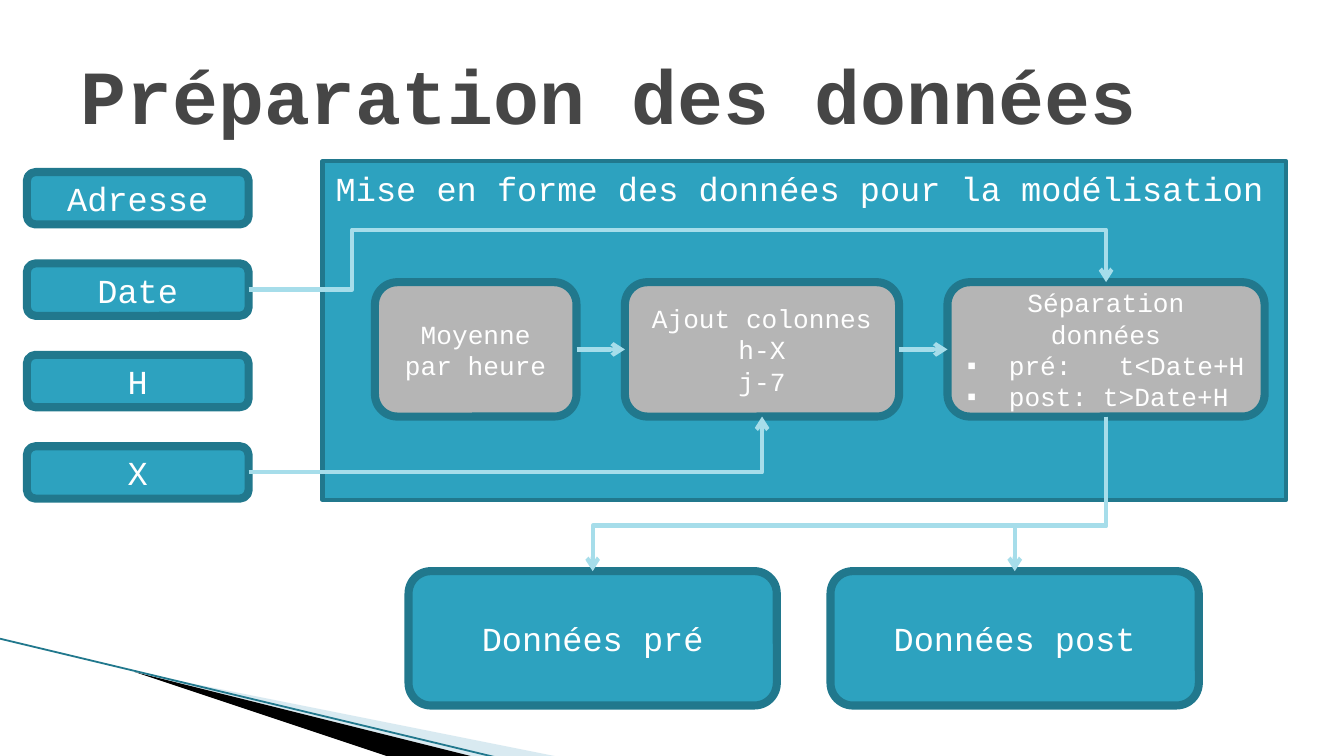
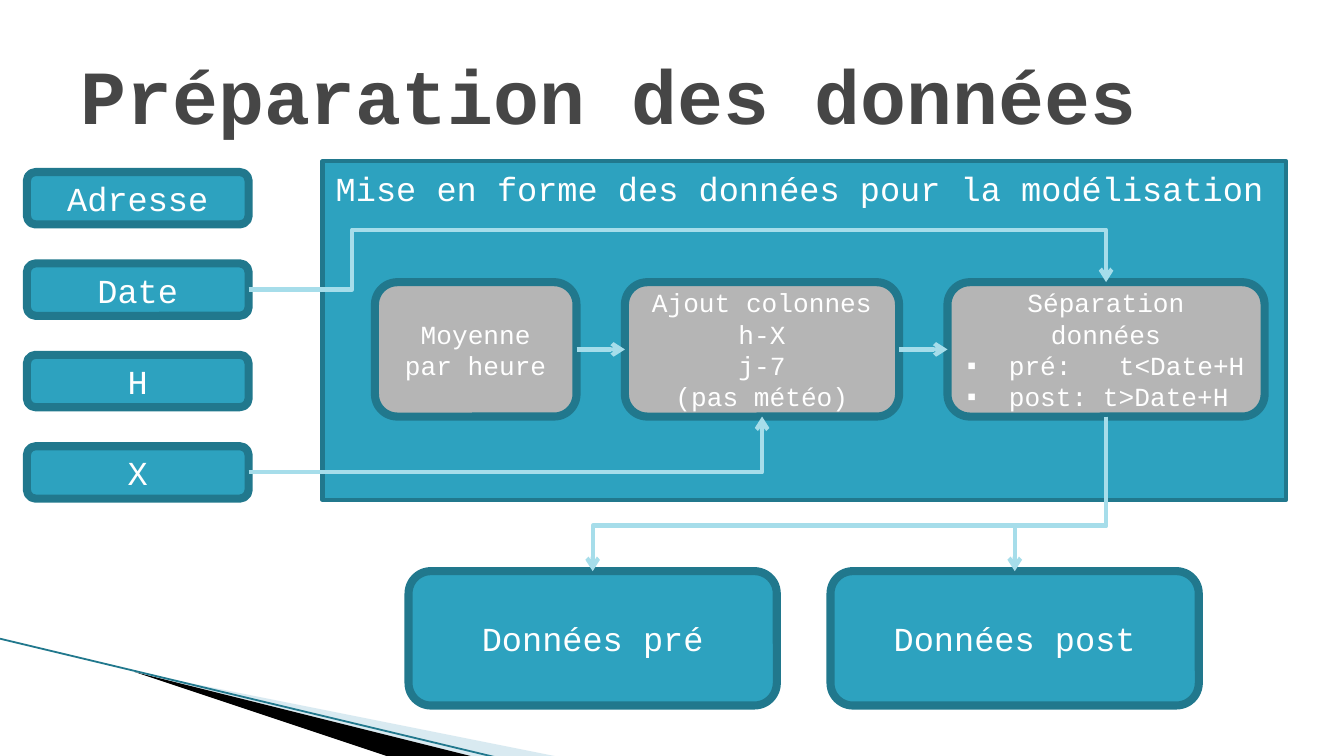
"""Build two slides that show how the data is prepared for modelling."""
from itertools import pairwise

from lxml.etree import SubElement
from pptx import Presentation
from pptx.dml.color import RGBColor
from pptx.enum.shapes import MSO_CONNECTOR, MSO_SHAPE
from pptx.enum.text import MSO_ANCHOR, PP_ALIGN
from pptx.oxml.ns import qn
from pptx.util import Inches, Pt

RECTANGLE, ROUNDED = MSO_SHAPE.RECTANGLE, MSO_SHAPE.ROUNDED_RECTANGLE
STRAIGHT, ELBOW = MSO_CONNECTOR.STRAIGHT, MSO_CONNECTOR.ELBOW
LEFT, CENTER = PP_ALIGN.LEFT, PP_ALIGN.CENTER
TOP, MIDDLE = MSO_ANCHOR.TOP, MSO_ANCHOR.MIDDLE
TOP_SITE, LEFT_SITE, BOTTOM_SITE, RIGHT_SITE = range(4)

TEAL = RGBColor(0x2D, 0xA2, 0xBF)
DARK_TEAL = RGBColor(0x21, 0x78, 0x8D)
PALE_TEAL = RGBColor(0xA6, 0xDD, 0xEA)
MIST = RGBColor(0xA0, 0xCB, 0xDC)
GREY = RGBColor(0xB5, 0xB5, 0xB5)
CHARCOAL = RGBColor(0x46, 0x46, 0x46)
BLACK = RGBColor(0, 0, 0)
WHITE = RGBColor(0xFF, 0xFF, 0xFF)

FONT = "Courier New"
WIDTH, HEIGHT = 10, 5.625
BORDER, THIN_BORDER = 4.33, 2.25

INPUTS = ("Adresse", "Date", "H", "X")
INPUT_LEFT, INPUT_TOP, INPUT_PITCH = 0.2, 1.28, 0.68
INPUT_WIDTH, INPUT_HEIGHT = 1.65, 0.39

STEP_LEFT, STEP_TOP, STEP_GAP, STEP_HEIGHT = 2.79, 2.1, 0.36, 1
STEP_WIDTHS = (1.5, 2.04, 2.36)
AVERAGE = ("Moyenne par heure",)
COLUMNS = ("Ajout colonnes", "h-X", "j-7")
SPLIT = ("Séparation données",)
SPLIT_RULES = (("pré:", 16.8, "t<Date+H"), ("post:", 0, "t>Date+H"))

OUTCOMES = ("Données pré", "Données post")
OUTCOME_LEFT, OUTCOME_TOP, OUTCOME_PITCH = 3.04, 4.25, 3.14
OUTCOME_WIDTH, OUTCOME_HEIGHT = 2.74, 1


def format_run(run, size, color, bold=False):
    """Give a run the shared font and its own size and colour."""
    run.font.name = FONT
    run.font.size = Pt(size)
    run.font.bold = bold
    run.font.color.rgb = color


def write(shape, lines, size=18, color=WHITE, bold=False, align=CENTER, anchor=MIDDLE):
    """Write one paragraph for each line into a shape."""
    frame = shape.text_frame
    frame.word_wrap = True
    frame.vertical_anchor = anchor
    for number, line in enumerate(lines):
        paragraph = frame.add_paragraph() if number else frame.paragraphs[0]
        paragraph.alignment = align
        run = paragraph.add_run()
        run.text = line
        format_run(run, size, color, bold)


def add_rule(shape, label, gap, condition, size):
    """Add a bulleted rule whose space after the label is widened by gap points."""
    paragraph = shape.text_frame.add_paragraph()
    paragraph.alignment = LEFT
    properties = paragraph._p.get_or_add_pPr()
    properties.set("marL", str(Inches(0.31)))
    properties.set("indent", str(-Inches(0.31)))
    SubElement(properties, qn("a:buFont"), typeface="Arial")
    SubElement(properties, qn("a:buChar"), char="▪")
    for part in (label, " ", condition):
        run = paragraph.add_run()
        run.text = part
        format_run(run, size, WHITE)
        if part == " " and gap:
            run._r.get_or_add_rPr().set("spc", str(round(gap * 100)))


def add_box(slide, kind, left, top, width, height, fill=TEAL, border=BORDER):
    """Add a filled box with a dark border."""
    box = slide.shapes.add_shape(kind, *map(Inches, (left, top, width, height)))
    box.shadow.inherit = False
    box.fill.solid()
    box.fill.fore_color.rgb = fill
    box.line.color.rgb = DARK_TEAL
    box.line.width = Pt(border)
    return box


def add_line(slide, kind, start, end, color, width):
    """Add a connector without a shadow."""
    line = slide.shapes.add_connector(kind, *map(Inches, (*start, *end)))
    line.line.color.rgb = color
    line.line.width = Pt(width)
    SubElement(line._element.spPr, qn("a:effectLst"))
    return line


def add_arrow(slide, source, source_site, target, target_site, kind=STRAIGHT):
    """Add an arrow glued to a side of each of two boxes."""
    arrow = add_line(slide, kind, (0, 0), (1, 1), PALE_TEAL, 2.25)
    arrow.begin_connect(source, source_site)
    arrow.end_connect(target, target_site)
    SubElement(arrow.line._get_or_add_ln(), qn("a:tailEnd"), type="arrow")
    return arrow


def bend(arrow, preset, *shares):
    """Give an arrow its bent preset and the share of its span at each bend."""
    geometry = arrow._element.spPr.find(qn("a:prstGeom"))
    geometry.set("prst", preset)
    guides = geometry.find(qn("a:avLst"))
    for number, share in enumerate(shares, 1):
        SubElement(guides, qn("a:gd"), name=f"adj{number}",
                   fmla=f"val {round(share * 100000)}")


def share_of_span(position, begin, end):
    """Return where a position in inches lies between two ends."""
    return (Inches(position) - begin) / (end - begin)


def turn_down(arrow):
    """Turn an arrow by a quarter so that it leaves its source downwards."""
    left, top, width, height = arrow.left, arrow.top, arrow.width, arrow.height
    arrow.left = left + (width - height) // 2
    arrow.top = top + (height - width) // 2
    arrow.width, arrow.height = height, width
    frame = arrow._element.spPr.find(qn("a:xfrm"))
    frame.attrib.pop("flipH", None)
    frame.set("rot", str(90 * 60000))


def add_wedge(slide, points, color, opacity=100):
    """Add a borderless polygon."""
    builder = slide.shapes.build_freeform(*points[0], scale=Inches(1))
    builder.add_line_segments(points[1:])
    wedge = builder.convert_to_shape()
    wedge.shadow.inherit = False
    wedge.line.fill.background()
    wedge.fill.solid()
    wedge.fill.fore_color.rgb = color
    if opacity < 100:
        tint = wedge._element.spPr.find(qn("a:solidFill"))[0]
        SubElement(tint, qn("a:alpha"), val=str(opacity * 1000))


def add_backdrop(slide, title):
    """Draw the corner wedges and the title that the slides share."""
    add_wedge(slide, ((0.55, 4.88), (5.95, 5.63), (4.56, 5.63)), MIST, 40)
    add_wedge(slide, ((0.53, 4.87), (4.57, 5.63), (3.72, 5.64), (0.54, 4.88)), BLACK)
    add_line(slide, STRAIGHT, (-0.01, 4.75), (3.71, 5.64), DARK_TEAL, 0.95)
    heading = slide.shapes.add_textbox(*map(Inches, (0.5, 0.23, 0.9 * WIDTH, 0.94)))
    write(heading, [title], size=41, color=CHARCOAL, bold=True, align=LEFT)


def add_inputs(slide):
    """Stack the input boxes and return them by name."""
    inputs = {}
    for row, name in enumerate(INPUTS):
        inputs[name] = add_box(slide, ROUNDED, INPUT_LEFT, INPUT_TOP + row * INPUT_PITCH,
                               INPUT_WIDTH, INPUT_HEIGHT)
        write(inputs[name], [name])
    return inputs


def add_steps(slide, step_lines):
    """Set the processing steps in a row joined by arrows."""
    steps, left = [], STEP_LEFT
    for width, lines in zip(STEP_WIDTHS, step_lines):
        step = add_box(slide, ROUNDED, left, STEP_TOP, width, STEP_HEIGHT, GREY)
        write(step, lines, size=14)
        steps.append(step)
        left += width + STEP_GAP
    for rule in SPLIT_RULES:
        add_rule(steps[-1], *rule, size=14)
    for before, after in pairwise(steps):
        add_arrow(slide, before, RIGHT_SITE, after, LEFT_SITE)
    return steps


def add_outcomes(slide, split):
    """Add the two resulting data sets below the split step."""
    for column, name in enumerate(OUTCOMES):
        outcome = add_box(slide, ROUNDED, OUTCOME_LEFT + column * OUTCOME_PITCH,
                          OUTCOME_TOP, OUTCOME_WIDTH, OUTCOME_HEIGHT)
        write(outcome, [name])
        arrow = add_arrow(slide, split, BOTTOM_SITE, outcome, TOP_SITE, ELBOW)
        bend(arrow, "bentConnector3", share_of_span(3.91, arrow.begin_y, arrow.end_y))
        turn_down(arrow)


def add_preparation_slide(deck, column_lines):
    """Add a slide with the whole preparation flow."""
    slide = deck.slides.add_slide(deck.slide_layouts[6])
    add_backdrop(slide, "Préparation des données")
    panel = add_box(slide, RECTANGLE, 2.4, 1.2, 7.17, 2.52, border=THIN_BORDER)
    write(panel, ["Mise en forme des données pour la modélisation"], align=LEFT, anchor=TOP)
    inputs = add_inputs(slide)
    _, columns, split = add_steps(slide, (AVERAGE, column_lines, SPLIT))
    add_outcomes(slide, split)
    lag = add_arrow(slide, inputs["X"], RIGHT_SITE, columns, BOTTOM_SITE, ELBOW)
    bend(lag, "bentConnector2")
    date = add_arrow(slide, inputs["Date"], RIGHT_SITE, split, TOP_SITE, ELBOW)
    bend(date, "bentConnector4", share_of_span(2.62, date.begin_x, date.end_x),
         share_of_span(1.71, date.begin_y, date.end_y))


def main():
    """Build and save the deck."""
    deck = Presentation()
    deck.slide_width, deck.slide_height = Inches(WIDTH), Inches(HEIGHT)
    add_preparation_slide(deck, COLUMNS)
    add_preparation_slide(deck, (*COLUMNS, "(pas météo)"))
    deck.save("out.pptx")


main()
